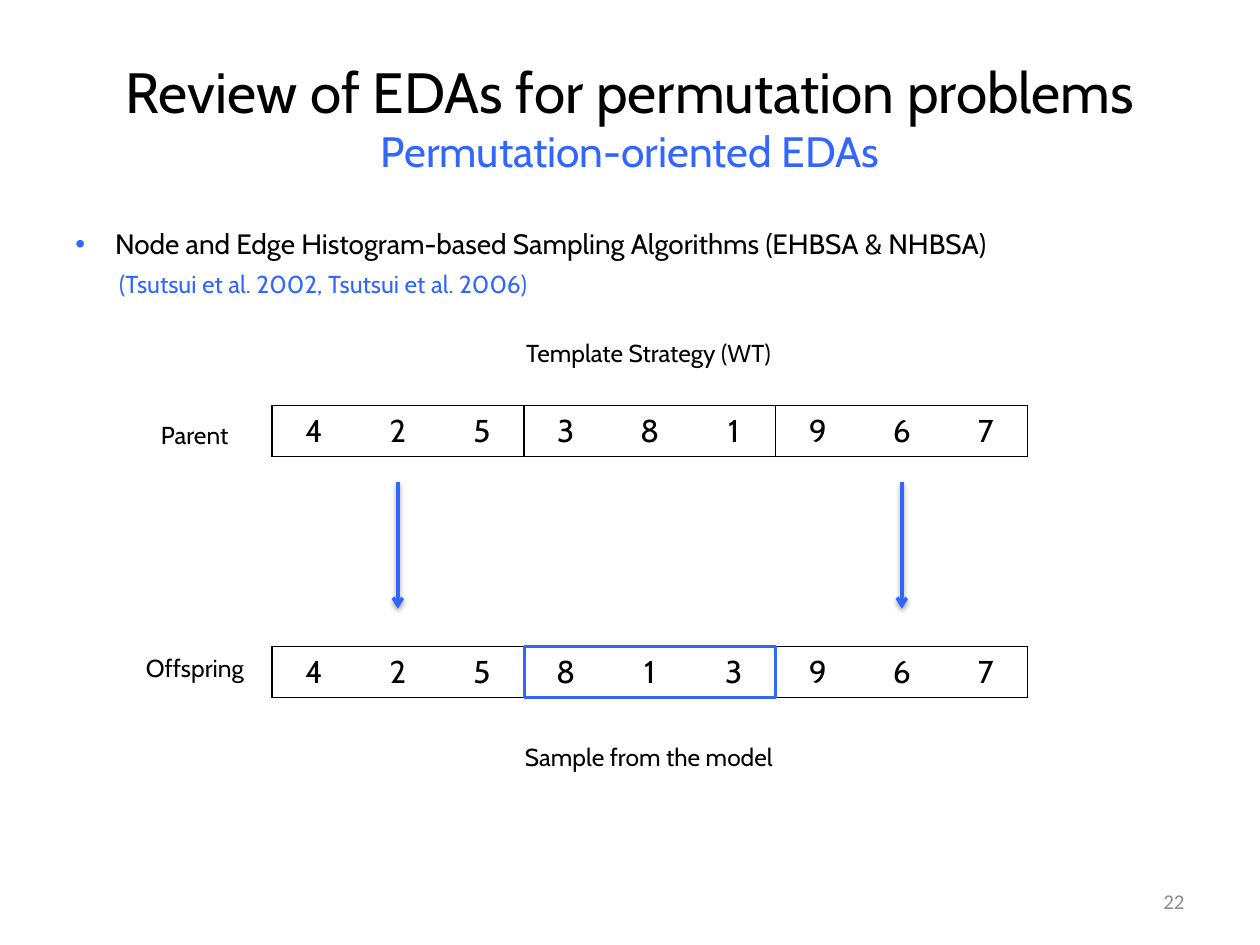
import pptx
import pptx.dml.color
import pptx.enum.shapes
import pptx.enum.text
import pptx.oxml
import pptx.oxml.ns
import pptx.util

Cm = pptx.util.Cm
Pt = pptx.util.Pt
ALIGN = pptx.enum.text.PP_ALIGN
ANCHOR = pptx.enum.text.MSO_ANCHOR
NAMESPACE = pptx.oxml.ns.nsdecls("a")
NO_STYLE_NO_GRID = "{2D5ABB26-0587-4C30-8999-92F81FD0307C}"
BLACK, BLUE, GREY = "000000", "3366FF", "8C8C8C"

ROW_HEIGHT = 1.03
PARENT_TOP, OFFSPRING_TOP = 8.17, 13.03
PARENT = "425381967"
OFFSPRING_BLOCKS = ["425", "813", "967"]


def rgb(value):
    return pptx.dml.color.RGBColor.from_string(value)


def xml(text):
    return pptx.oxml.parse_xml(text)


def format_run(run, size, color=BLACK, font="Cabin"):
    run.font.size = Pt(size)
    run.font.name = font
    run.font.color.rgb = rgb(color)


def add_text(slide, box, text, align=ALIGN.CENTER, anchor=ANCHOR.TOP, wrap=True):
    shape = slide.shapes.add_textbox(*map(Cm, box))
    frame = shape.text_frame
    frame.word_wrap = wrap
    frame.vertical_anchor = anchor
    frame.text = text
    for paragraph in frame.paragraphs:
        paragraph.alignment = align
    return frame


def add_title(slide, box):
    frame = add_text(
        slide, box, "Review of EDAs for permutation problems\vPermutation-oriented EDAs",
        anchor=ANCHOR.MIDDLE)
    heading, subheading = frame.paragraphs[0].runs
    format_run(heading, 32.4)
    format_run(subheading, 24.3, BLUE)


def add_body(slide, box):
    frame = add_text(
        slide, box,
        "Node and Edge Histogram-based Sampling Algorithms (EHBSA & NHBSA)\n"
        "(Tsutsui et al. 2002, Tsutsui et al. 2006)", align=ALIGN.LEFT)
    topic, citation = frame.paragraphs

    # Blue bullet with a hanging indent; the citation lines up below the text
    properties = topic._p.get_or_add_pPr()
    properties.set("marL", str(Cm(0.8)))
    properties.set("indent", str(-Cm(0.8)))
    properties.append(xml(f'<a:buClr {NAMESPACE}><a:srgbClr val="{BLUE}"/></a:buClr>'))
    properties.append(xml(f'<a:buFont {NAMESPACE} typeface="Arial"/>'))
    properties.append(xml(f'<a:buChar {NAMESPACE} char="•"/>'))
    citation._p.get_or_add_pPr().set("marL", str(Cm(0.88)))
    citation.space_before = Pt(5)
    format_run(topic.runs[0], 16)
    format_run(citation.runs[0], 14, BLUE)


def add_label(slide, box, text, align=ALIGN.CENTER):
    frame = add_text(slide, box, text, align=align, wrap=False)
    format_run(frame.paragraphs[0].runs[0], 14)


def add_cell_borders(cell, sides):
    properties = cell._tc.get_or_add_tcPr()
    for index, side in enumerate(sides):
        properties.insert(index, xml(
            f'<a:ln{side} {NAMESPACE} w="{Pt(1)}"><a:solidFill>'
            f'<a:srgbClr val="{BLACK}"/></a:solidFill></a:ln{side}>'))


def add_row(slide, box, values, outlined_cells=0):
    """One-row table; outlined_cells is the number of cells in each outline."""
    table = slide.shapes.add_table(1, len(values), *map(Cm, box)).table
    table._tbl.tblPr.find(pptx.oxml.ns.qn("a:tableStyleId")).text = NO_STYLE_NO_GRID
    table.first_row = table.horz_banding = False
    for index, value in enumerate(values):
        cell = table.cell(0, index)
        cell.fill.background()
        if outlined_cells:
            left = "L" if index == 0 else ""
            right = "R" if (index + 1) % outlined_cells == 0 else ""
            add_cell_borders(cell, left + right + "TB")
        if value:
            cell.text = value
            paragraph = cell.text_frame.paragraphs[0]
            paragraph.alignment = ALIGN.CENTER
            format_run(paragraph.runs[0], 18)


def add_copy_arrow(slide, x, top, bottom):
    arrow = slide.shapes.add_connector(
        pptx.enum.shapes.MSO_CONNECTOR.STRAIGHT, Cm(x), Cm(top), Cm(x), Cm(bottom))
    arrow.line.color.rgb = rgb(BLUE)
    arrow.line.width = Pt(2)
    arrow.line._get_or_add_ln().append(xml(f'<a:tailEnd {NAMESPACE} type="arrow"/>'))
    arrow._element.spPr.append(xml(
        f'<a:effectLst {NAMESPACE}><a:outerShdw blurRad="{Pt(3.1)}" dist="{Pt(1.6)}" '
        f'dir="5400000" rotWithShape="0"><a:srgbClr val="{BLACK}">'
        '<a:alpha val="38000"/></a:srgbClr></a:outerShdw></a:effectLst>'))


def add_sampled_outline(slide, box):
    outline = slide.shapes.add_shape(
        pptx.enum.shapes.MSO_SHAPE.RECTANGLE, *map(Cm, box))
    outline.shadow.inherit = False
    outline.fill.background()
    outline.line.color.rgb = rgb(BLUE)
    outline.line.width = Pt(1.5)


def add_diagram(slide, left, width):
    block_width = width / 3

    # Offspring: one outline around three blocks of numbers
    add_row(slide, (left, OFFSPRING_TOP, width, ROW_HEIGHT), [""] * 9, outlined_cells=9)
    for index, block in enumerate(OFFSPRING_BLOCKS):
        add_row(slide, (left + index * block_width, OFFSPRING_TOP,
                        block_width, ROW_HEIGHT), block)
    add_sampled_outline(
        slide, (left + block_width + 0.02, OFFSPRING_TOP, block_width - 0.03, ROW_HEIGHT))

    # Parent: outlined in threes, the outer two copied down
    add_row(slide, (left, PARENT_TOP, width, ROW_HEIGHT), PARENT, outlined_cells=3)
    for block in (0, 2):
        add_copy_arrow(slide, left + (block + 0.5) * block_width, 9.71, 12.27)

    # Labels
    add_label(slide, (left + 4.52, 6.68, 6.15, 0.86), "Template Strategy (WT)")
    add_label(slide, (left - 2.56, PARENT_TOP + 0.17, 2.01, 0.86), "Parent")
    add_label(slide, (left - 2.86, OFFSPRING_TOP, 2.62, 0.86), "Offspring")
    add_label(slide, (left + 4.85, 14.83, 5.82, 0.86), "Sample from the model",
              align=ALIGN.LEFT)


def add_page_number(slide, box):
    frame = add_text(slide, box, "22", align=ALIGN.RIGHT, anchor=ANCHOR.MIDDLE)
    format_run(frame.paragraphs[0].runs[0], 12, GREY, "Calibri")


def main():
    presentation = pptx.Presentation()
    presentation.slide_width = Cm(25.4)
    presentation.slide_height = Cm(19.05)
    slide = presentation.slides.add_slide(presentation.slide_layouts[6])
    add_title(slide, (1.27, 0.76, 22.86, 3.18))
    add_body(slide, (1.27, 4.45, 22.86, 2.67))
    add_diagram(slide, 5.48, 15.24)
    add_page_number(slide, (18.21, 17.65, 5.92, 1.02))
    presentation.save("out.pptx")


if __name__ == "__main__":
    main()
